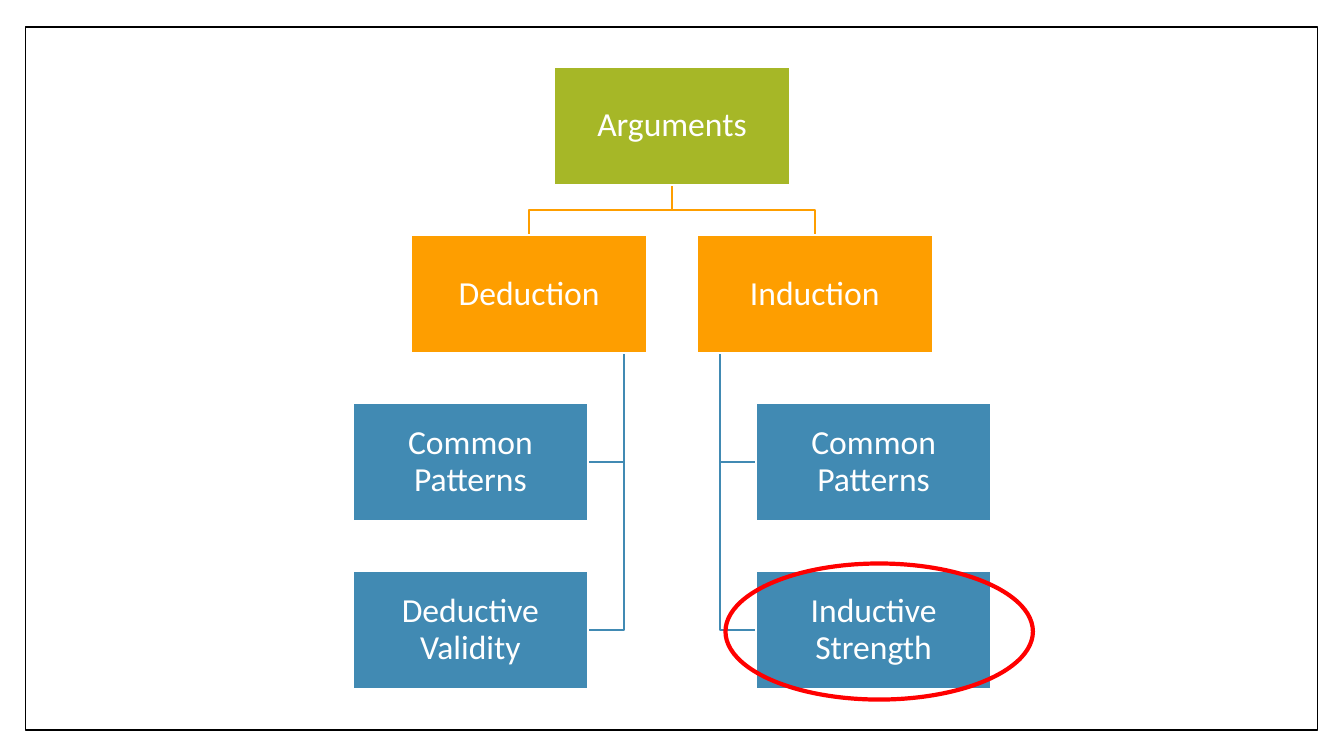
from dataclasses import dataclass

from pptx import Presentation
from pptx.dml.color import RGBColor
from pptx.enum.shapes import MSO_SHAPE
from pptx.enum.text import MSO_ANCHOR, PP_ALIGN
from pptx.util import Pt

RECTANGLE = MSO_SHAPE.RECTANGLE
OVAL = MSO_SHAPE.OVAL
MIDDLE = MSO_ANCHOR.MIDDLE
CENTER = PP_ALIGN.CENTER


@dataclass(frozen=True)
class Theme:
    font: str = "Calibri"
    label_size: int = 24
    white: str = "FFFFFF"
    black: str = "000000"
    root: str = "A6B727"
    branch: str = "FE9E00"
    leaf: str = "418AB3"
    highlight: str = "FF0000"
    frame_line: float = 1
    tree_line: float = 1.5
    highlight_line: float = 3


THEME = Theme()
SLIDE_WIDTH, SLIDE_HEIGHT = 960, 540
BOX_WIDTH, BOX_HEIGHT = 168.4, 84.2
CENTER_X = SLIDE_WIDTH / 2
TOP, ROW_PITCH = 48, 120
BRANCH_OFFSET, LEAF_OFFSET, SPINE_OFFSET = 102, 144, 34.5
BRANCHES = [
    (1, "Induction", ["Common Patterns", "Inductive Strength"]),
    (-1, "Deduction", ["Common Patterns", "Deductive Validity"]),
]


def row_top(row):
    return TOP + row * ROW_PITCH


def style(shape, fill, line, line_width):
    shape.shadow.inherit = False
    if fill:
        shape.fill.solid()
        shape.fill.fore_color.rgb = RGBColor.from_string(fill)
    else:
        shape.fill.background()
    shape.line.color.rgb = RGBColor.from_string(line)
    shape.line.width = Pt(line_width)


def add_outline(slide, kind, bounds, fill, line, line_width):
    shape = slide.shapes.add_shape(kind, *map(Pt, bounds))
    style(shape, fill, line, line_width)
    return shape


def add_box(slide, label, center_x, row, color):
    bounds = (center_x - BOX_WIDTH / 2, row_top(row), BOX_WIDTH, BOX_HEIGHT)
    box = add_outline(slide, RECTANGLE, bounds, color, THEME.white, THEME.tree_line)
    frame = box.text_frame
    frame.word_wrap = True
    frame.vertical_anchor = MIDDLE
    frame.margin_left = frame.margin_right = Pt(1.2)
    frame.margin_top = frame.margin_bottom = Pt(1.2)
    frame.text = label
    paragraph = frame.paragraphs[0]
    paragraph.alignment = CENTER
    paragraph.line_spacing = 0.9
    font = paragraph.runs[0].font
    font.name = THEME.font
    font.size = Pt(THEME.label_size)
    font.color.rgb = RGBColor.from_string(THEME.white)


def add_elbow(slide, points, color):
    start, *rest = [(Pt(x), Pt(y)) for x, y in points]
    builder = slide.shapes.build_freeform(*start)
    builder.add_line_segments(rest, close=False)
    style(builder.convert_to_shape(), None, color, THEME.tree_line)


def add_branch_links(slide, side, leaf_count):
    spine_x = CENTER_X + side * SPINE_OFFSET
    leaf_edge = CENTER_X + side * (LEAF_OFFSET - BOX_WIDTH / 2)
    spine_top = row_top(1) + BOX_HEIGHT
    for row in range(2, 2 + leaf_count):
        leaf_y = row_top(row) + BOX_HEIGHT / 2
        add_elbow(slide, [(spine_x, spine_top), (spine_x, leaf_y), (leaf_edge, leaf_y)], THEME.leaf)

    branch_x = CENTER_X + side * BRANCH_OFFSET
    root_bottom = TOP + BOX_HEIGHT
    bend_y = (root_bottom + row_top(1)) / 2
    add_elbow(
        slide,
        [(CENTER_X, root_bottom), (CENTER_X, bend_y), (branch_x, bend_y), (branch_x, row_top(1))],
        THEME.branch,
    )


def add_branch_boxes(slide, side, branch, leaves):
    add_box(slide, branch, CENTER_X + side * BRANCH_OFFSET, 1, THEME.branch)
    for row, leaf in enumerate(leaves, start=2):
        add_box(slide, leaf, CENTER_X + side * LEAF_OFFSET, row, THEME.leaf)


def main():
    presentation = Presentation()
    presentation.slide_width = Pt(SLIDE_WIDTH)
    presentation.slide_height = Pt(SLIDE_HEIGHT)
    slide = presentation.slides.add_slide(presentation.slide_layouts[6])

    add_outline(slide, RECTANGLE, (18, 19.4, 923, 502), THEME.white, THEME.black, THEME.frame_line)
    for side, _, leaves in BRANCHES:
        add_branch_links(slide, side, len(leaves))
    add_box(slide, "Arguments", CENTER_X, 0, THEME.root)
    for side, branch, leaves in reversed(BRANCHES):
        add_branch_boxes(slide, side, branch, leaves)
    add_outline(slide, OVAL, (518.2, 402.5, 219.6, 97.2), None, THEME.highlight, THEME.highlight_line)

    presentation.save("out.pptx")


if __name__ == "__main__":
    main()
